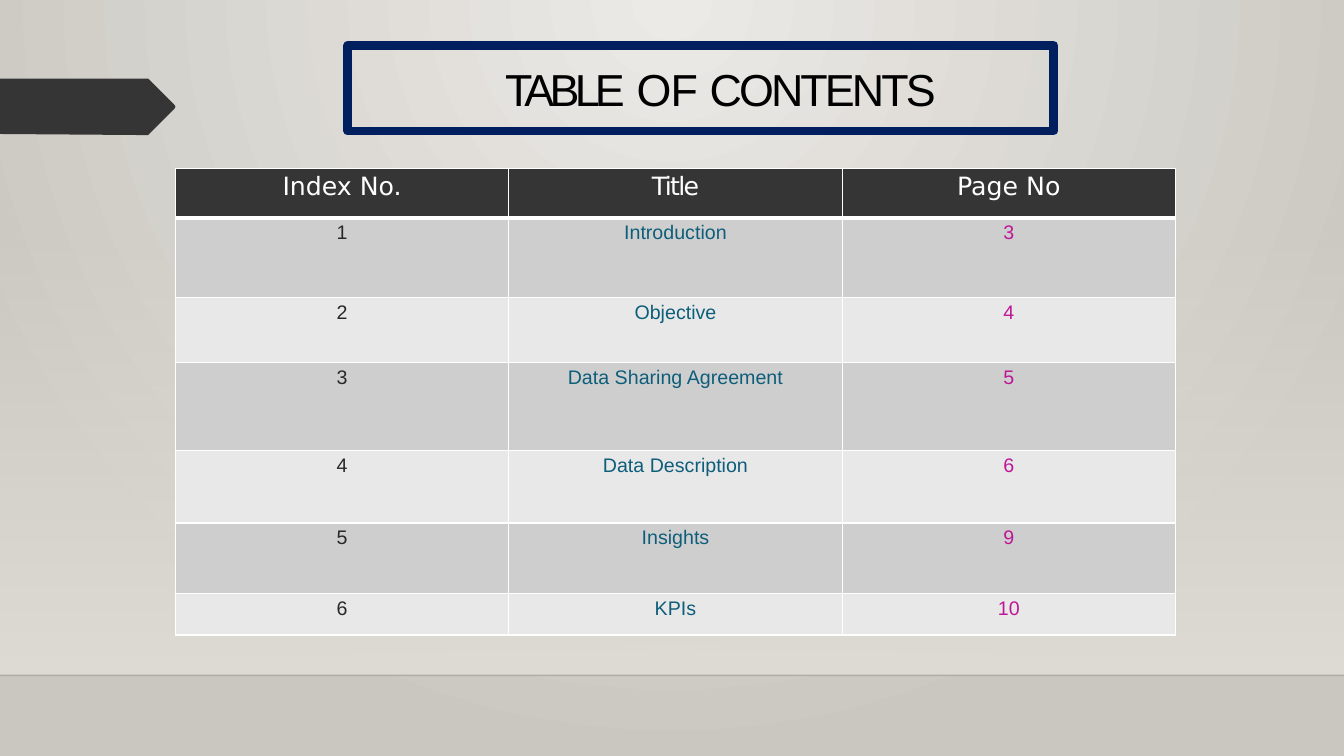
from lxml import etree
from pptx import Presentation
from pptx.dml.color import RGBColor
from pptx.enum.shapes import MSO_CONNECTOR, MSO_SHAPE
from pptx.enum.text import MSO_ANCHOR, MSO_AUTO_SIZE, PP_ALIGN
from pptx.oxml import parse_xml
from pptx.oxml.ns import nsdecls, qn
from pptx.util import Inches, Pt

# Content
TITLE_RUNS = [("TABLE", -3.4), (" OF ", -0.6), ("CONTENTS", -2.1)]  # text, letter spacing
HEADERS = ["Index No.", "Title", "Page No"]
CONTENTS = [
    ("1", "Introduction", "3"),
    ("2", "Objective", "4"),
    ("3", "Data Sharing Agreement", "5"),
    ("4", "Data Description", "6"),
    ("5", "Insights", "9"),
    ("6", "KPIs", "10"),
]
ROW_HEIGHTS = [0.49, 0.79, 0.65, 0.87, 0.72, 0.7, 0.41]
TABLE_LEFT, TABLE_TOP, TABLE_WIDTH = 1.74, 1.67, 9.92
ARROW = [(0, 0.78), (0, 1.33), (1.36, 1.34), (1.47, 1.34), (1.48, 1.33), (1.73, 1.08),
         (1.74, 1.06), (1.73, 1.04), (1.48, 0.79), (1.47, 0.78), (1.36, 0.78)]
FLOOR_TOP = 6.7
COLORS = {
    "glow": "ECEAE7", "edge": "CAC7C1", "haze": "DFDBD5", "floor": "000000",
    "dark": "353535", "frame": "001F5F", "white": "FFFFFF", "black": "000000",
    "odd": "CECECE", "even": "E8E8E8",
    "index": "282828", "name": "0E5E7B", "page": "BE1697",
}


def rgb(name):
    return RGBColor.from_string(COLORS[name])


def set_gradient(fill, parent, stops, direction):
    """Replace the solid fill under parent by a gradient of (position, color, alpha)."""
    fill.solid()
    gradient_stops = "".join(
        f'<a:gs pos="{pos * 1000}"><a:srgbClr val="{COLORS[color]}">'
        f'<a:alpha val="{alpha * 1000}"/></a:srgbClr></a:gs>'
        for pos, color, alpha in stops)
    solid = parent.find(qn("a:solidFill"))
    parent.replace(solid, parse_xml(
        f'<a:gradFill {nsdecls("a")} rotWithShape="1"><a:gsLst>{gradient_stops}</a:gsLst>'
        f'{direction}</a:gradFill>'))


def style_run(run, font, size, color, spacing):
    run.font.name, run.font.size = font, Pt(size)
    run.font.color.rgb = rgb(color)
    run.font._element.set("spc", str(round(spacing * 100)))


def set_borders(cell, top, bottom):
    for side, width in (("L", 1), ("R", 1), ("T", top), ("B", bottom)):
        cell._tc.get_or_add_tcPr().append(parse_xml(
            f'<a:ln{side} {nsdecls("a")} w="{Pt(width)}"><a:solidFill>'
            f'<a:srgbClr val="{COLORS["white"]}"/></a:solidFill></a:ln{side}>'))


def fill_cell(cell, text, font, size, color, spacing, fill):
    cell.margin_left = cell.margin_right = cell.margin_bottom = 0
    cell.margin_top = Inches(0.04)
    cell.text_frame.text = text
    paragraph = cell.text_frame.paragraphs[0]
    paragraph.alignment = PP_ALIGN.CENTER
    paragraph.space_before = Pt(3.2)
    style_run(paragraph.runs[0], font, size, color, spacing)
    cell.fill.solid()
    cell.fill.fore_color.rgb = rgb(fill)


prs = Presentation()
prs.slide_width, prs.slide_height = Inches(13.33), Inches(7.5)
slide = prs.slides.add_slide(prs.slide_layouts[5])
shapes = slide.shapes

# Background glow, haze and floor line
backdrop = slide.background.fill
backdrop.solid()
set_gradient(backdrop, slide._element.find(".//" + qn("p:bgPr")),
             [(0, "glow", 100), (100, "edge", 100)],
             '<a:path path="circle"><a:fillToRect l="43000" t="0" r="43000" b="100000"/></a:path>')

haze = shapes.add_shape(MSO_SHAPE.RECTANGLE, 0, Inches(2.21), prs.slide_width,
                        Inches(FLOOR_TOP - 2.21))
haze.shadow.inherit = False
haze.line.fill.background()
set_gradient(haze.fill, haze._element.spPr, [(0, "haze", 0), (100, "haze", 100)],
             '<a:lin ang="5400000" scaled="0"/>')

floor = shapes.add_connector(MSO_CONNECTOR.STRAIGHT, 0, Inches(FLOOR_TOP),
                             prs.slide_width, Inches(FLOOR_TOP))
floor.line.width = Pt(1)
floor.line.color.rgb = rgb("floor")
floor_color = floor._element.spPr.find(".//" + qn("a:srgbClr"))
etree.SubElement(floor_color, qn("a:alpha")).set("val", "20000")
etree.SubElement(floor._element.spPr, qn("a:effectLst"))

# Side arrow
arrow_points = [(Inches(x), Inches(y)) for x, y in ARROW]
builder = shapes.build_freeform(*arrow_points[0])
builder.add_line_segments(arrow_points[1:], close=True)
arrow = builder.convert_to_shape()
arrow.shadow.inherit = False
arrow.fill.solid()
arrow.fill.fore_color.rgb = rgb("dark")
arrow.line.fill.background()

# Contents table
table = shapes.add_table(len(ROW_HEIGHTS), len(HEADERS), Inches(TABLE_LEFT), Inches(TABLE_TOP),
                         Inches(TABLE_WIDTH), Inches(sum(ROW_HEIGHTS))).table
table.horz_banding = False
for row, height in zip(table.rows, ROW_HEIGHTS):
    row.height = Inches(height)
for col, header in enumerate(HEADERS):
    cell = table.cell(0, col)
    set_borders(cell, 1, 3)
    fill_cell(cell, header, "DejaVu Sans", 18, "white", -1.2 if header == "Title" else 0, "dark")
for row, entry in enumerate(CONTENTS, start=1):
    band = "odd" if row % 2 else "even"
    for col, (text, color) in enumerate(zip(entry, ("index", "name", "page"))):
        cell = table.cell(row, col)
        set_borders(cell, 3 if row == 1 else 1, 1)
        fill_cell(cell, text, "Arial", 14, color, 0, band)

# Title and its frame
frame = shapes.add_shape(MSO_SHAPE.RECTANGLE, Inches(3.45), Inches(0.45), Inches(7), Inches(0.85))
frame.shadow.inherit = False
frame.fill.background()
frame.line.color.rgb = rgb("frame")
frame.line.width = Pt(6.25)

title = shapes.title
title.left, title.top, title.width, title.height = map(Inches, (5, 0.6, 4.81, 0.55))
heading = title.text_frame
heading.margin_right = heading.margin_bottom = 0
heading.margin_left = heading.margin_top = Inches(0.01)
heading.vertical_anchor = MSO_ANCHOR.TOP
heading.auto_size = MSO_AUTO_SIZE.SHAPE_TO_FIT_TEXT
line = heading.paragraphs[0]
line.alignment = PP_ALIGN.LEFT
line.space_before = Pt(1)
for text, spacing in TITLE_RUNS:
    run = line.add_run()
    run.text = text
    style_run(run, "Arial", 32, "black", spacing)

prs.save("out.pptx")
